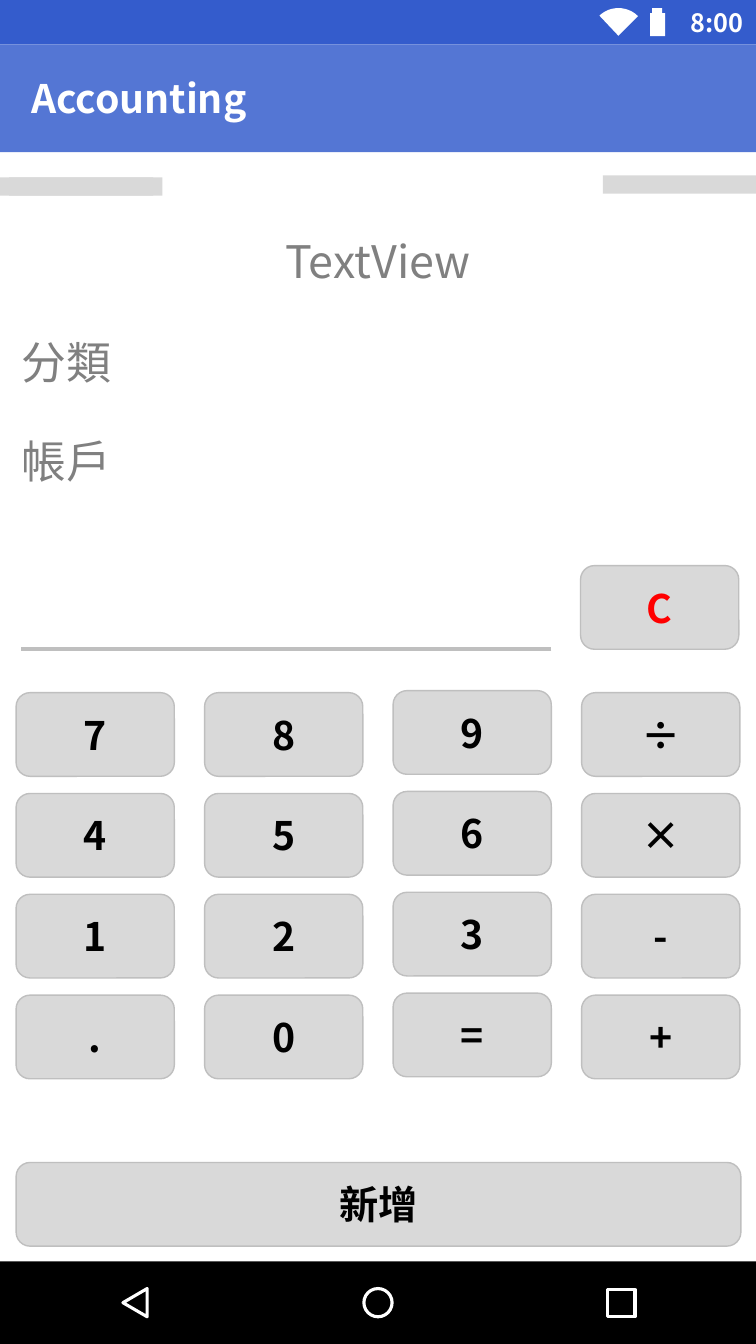
from dataclasses import dataclass
from typing import Optional

from lxml import etree
from pptx import Presentation
from pptx.dml.color import RGBColor
from pptx.enum.shapes import MSO_CONNECTOR, MSO_SHAPE
from pptx.enum.text import MSO_ANCHOR, MSO_AUTO_SIZE, PP_ALIGN
from pptx.oxml.ns import qn
from pptx.shapes.autoshape import Shape
from pptx.shapes.shapetree import _BaseGroupShapes
from pptx.text.text import TextFrame
from pptx.util import Inches, Pt

RECT = MSO_SHAPE.RECTANGLE
ROUNDED = MSO_SHAPE.ROUNDED_RECTANGLE
PIE = MSO_SHAPE.PIE
TRIANGLE = MSO_SHAPE.ISOSCELES_TRIANGLE
OVAL = MSO_SHAPE.OVAL
STRAIGHT = MSO_CONNECTOR.STRAIGHT
LEFT = PP_ALIGN.LEFT
CENTER = PP_ALIGN.CENTER
MIDDLE = MSO_ANCHOR.MIDDLE
FIT_SHAPE = MSO_AUTO_SIZE.SHAPE_TO_FIT_TEXT

WHITE = RGBColor(0xFF, 0xFF, 0xFF)
BLACK = RGBColor(0x00, 0x00, 0x00)
RED = RGBColor(0xFF, 0x00, 0x00)
STATUS_BLUE = RGBColor(0x34, 0x5C, 0xCC)
TITLE_BLUE = RGBColor(0x54, 0x76, 0xD4)
LIGHT_GRAY = RGBColor(0xD9, 0xD9, 0xD9)
EDGE_GRAY = RGBColor(0xBF, 0xBF, 0xBF)
HINT_GRAY = RGBColor(0x80, 0x80, 0x80)

FONT = "Noto Sans CJK SC"
SLIDE_WIDTH, SLIDE_HEIGHT = 7.5, 13.33
KEY_WIDTH, KEY_HEIGHT = 1.57, 0.83
KEY_LEFT, KEY_TOP = 0.16, 6.87
KEY_STEP_X, KEY_STEP_Y = 1.87, 1.0
COLUMN_SHIFTS = (0, 0, -0.02, 0)
KEY_ROWS = ("789÷", "456×", "123-", ".0=+")


@dataclass(frozen=True)
class Block:
    left: float
    top: float
    width: float
    height: float
    fill: Optional[RGBColor] = None
    outline: Optional[RGBColor] = None
    weight: float = 1
    kind: MSO_SHAPE = RECT
    rotation: float = 0


@dataclass(frozen=True)
class Label:
    text: str
    left: float
    top: float
    width: float
    height: float
    size: int
    color: RGBColor
    bold: bool = False
    align: PP_ALIGN = LEFT


@dataclass(frozen=True)
class Button:
    text: str
    left: float
    top: float
    width: float = KEY_WIDTH
    color: RGBColor = BLACK


STATUS_BAR = Block(0, 0, SLIDE_WIDTH, 0.44, STATUS_BLUE)
WIFI = Block(5.86, 0.08, 0.55, 0.55, WHITE, kind=PIE, rotation=45)
BATTERY = (
    Block(6.47, 0.08, 0.1, 0.05, WHITE),
    Block(6.45, 0.13, 0.15, 0.23, WHITE),
)
CLOCK = Label("8:00", 6.75, 0.02, 0.75, 0.4, 18, WHITE, True)
TITLE_BAR = Block(0, 0.44, SLIDE_WIDTH, 1.07, TITLE_BLUE)
TITLE = Label("Accounting", 0.21, 0.69, 2.86, 0.57, 28, WHITE, True)
TABS = (
    Block(0, 1.76, 1.52, 0.18, LIGHT_GRAY),
    Block(0.09, 1.76, 1.52, 0.18, LIGHT_GRAY),
    Block(5.98, 1.74, 1.52, 0.18, LIGHT_GRAY),
)
HINTS = (
    Label("TextView", 2.32, 2.27, 2.86, 0.64, 32, HINT_GRAY, align=CENTER),
    Label("分類", 0.09, 3.27, 1.14, 0.64, 32, HINT_GRAY, align=CENTER),
    Label("帳戶", 0.09, 4.25, 1.14, 0.64, 32, HINT_GRAY, align=CENTER),
)
NAVIGATION = (
    Block(0, 12.51, SLIDE_WIDTH, 0.82, BLACK),
    Block(1.2, 12.8, 0.28, 0.24, None, WHITE, 2.25, TRIANGLE, 270),
    Block(6.03, 12.79, 0.27, 0.27, None, WHITE, 2.25),
    Block(3.61, 12.78, 0.28, 0.28, None, WHITE, 2.25, OVAL),
)
KEYS = [
    Button(symbol, KEY_LEFT + column * KEY_STEP_X,
           KEY_TOP + row * KEY_STEP_Y + COLUMN_SHIFTS[column])
    for row, symbols in enumerate(KEY_ROWS)
    for column, symbol in enumerate(symbols)
]
ADD = Button("新增", KEY_LEFT, 11.53, 7.19)
CLEAR = Button("C", 5.76, 5.61, color=RED)


def write(frame: TextFrame, text: str, size: int, color: RGBColor,
          bold: bool, align: PP_ALIGN) -> None:
    paragraph = frame.paragraphs[0]
    paragraph.text = text
    paragraph.alignment = align
    font = paragraph.font
    font.name = FONT
    font.size = Pt(size)
    font.bold = bold
    font.color.rgb = color
    defaults = paragraph._p.pPr.find(qn("a:defRPr"))
    etree.SubElement(defaults, qn("a:ea")).set("typeface", FONT)


def draw_block(shapes: _BaseGroupShapes, block: Block) -> Shape:
    shape = shapes.add_shape(block.kind, Inches(block.left), Inches(block.top),
                             Inches(block.width), Inches(block.height))
    shape.shadow.inherit = False
    shape.rotation = block.rotation
    if block.fill is None:
        shape.fill.background()
    else:
        shape.fill.solid()
        shape.fill.fore_color.rgb = block.fill
    if block.outline is None:
        shape.line.fill.background()
    else:
        shape.line.color.rgb = block.outline
        shape.line.width = Pt(block.weight)
    return shape


def draw_label(shapes: _BaseGroupShapes, label: Label) -> None:
    box = shapes.add_textbox(Inches(label.left), Inches(label.top),
                             Inches(label.width), Inches(label.height))
    frame = box.text_frame
    frame.word_wrap = True
    frame.auto_size = FIT_SHAPE
    write(frame, label.text, label.size, label.color, label.bold, label.align)


def draw_button(shapes: _BaseGroupShapes, button: Button) -> None:
    shape = draw_block(shapes, Block(button.left, button.top, button.width,
                                     KEY_HEIGHT, LIGHT_GRAY, EDGE_GRAY,
                                     kind=ROUNDED))
    shape.text_frame.vertical_anchor = MIDDLE
    write(shape.text_frame, button.text, 28, button.color, True, CENTER)


def draw_amount_line(shapes: _BaseGroupShapes) -> None:
    line = shapes.add_connector(STRAIGHT, Inches(5.47), Inches(6.44),
                                Inches(0.21), Inches(6.44))
    line.line.color.rgb = EDGE_GRAY
    line.line.width = Pt(3)
    etree.SubElement(line._element.spPr, qn("a:effectLst"))


def main() -> None:
    presentation = Presentation()
    presentation.slide_width = Inches(SLIDE_WIDTH)
    presentation.slide_height = Inches(SLIDE_HEIGHT)
    shapes = presentation.slides.add_slide(presentation.slide_layouts[6]).shapes

    status = shapes.add_group_shape().shapes
    draw_block(status, STATUS_BAR)
    wifi = draw_block(status, WIFI)
    wifi.adjustments[0] = 108.98
    wifi.adjustments[1] = 162
    for part in BATTERY:
        draw_block(status, part)
    draw_label(status, CLOCK)

    header = shapes.add_group_shape().shapes
    draw_block(header, TITLE_BAR)
    draw_label(header, TITLE)

    for tab in TABS:
        draw_block(shapes, tab)
    for hint in HINTS:
        draw_label(shapes, hint)
    navigation = shapes.add_group_shape().shapes
    for part in NAVIGATION:
        draw_block(navigation, part)
    for button in (ADD, *KEYS, CLEAR):
        draw_button(shapes, button)
    draw_amount_line(shapes)
    presentation.save("out.pptx")


if __name__ == "__main__":
    main()
